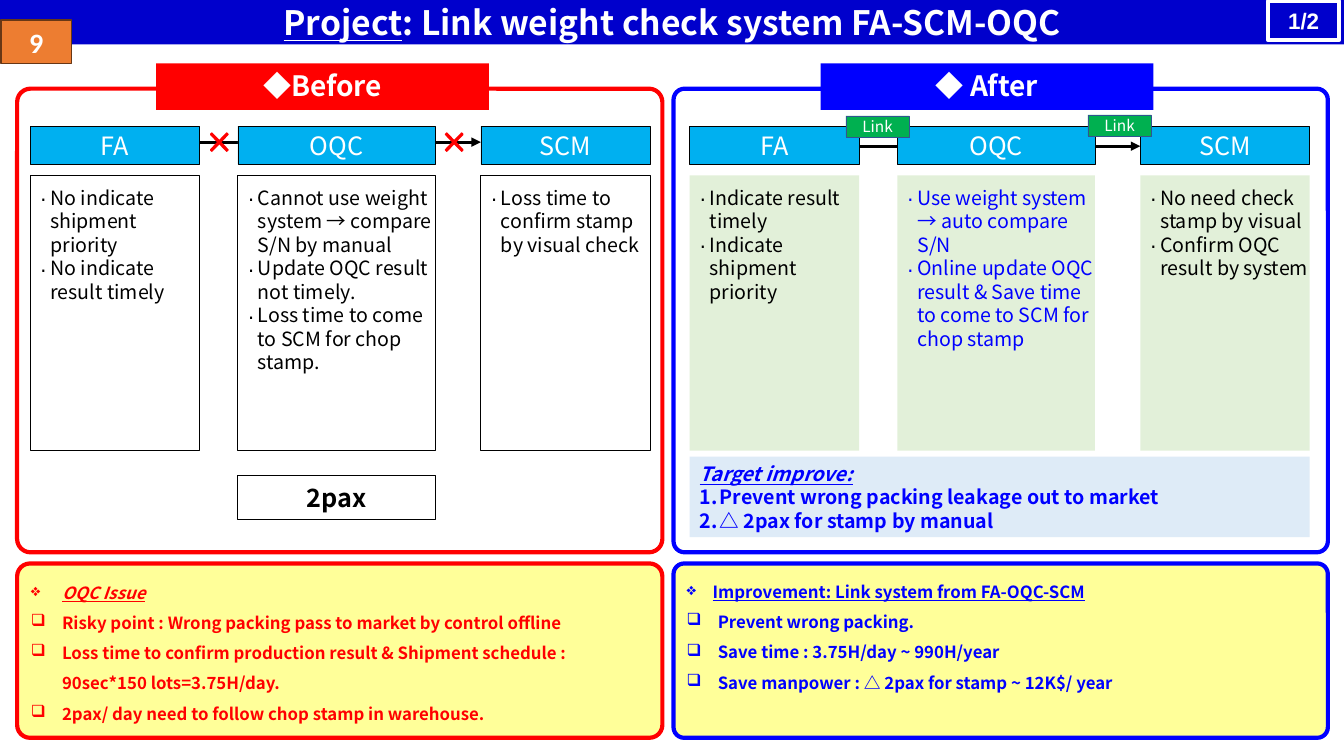
"""Build the before/after slide of the weight check link project."""
from lxml import etree
from pptx import Presentation
from pptx.dml.color import RGBColor
from pptx.enum.shapes import MSO_CONNECTOR, MSO_SHAPE
from pptx.enum.text import MSO_ANCHOR, PP_ALIGN
from pptx.oxml.ns import qn
from pptx.util import Pt

PX = 9144
RECT, ROUNDED, CROSS = MSO_SHAPE.RECTANGLE, MSO_SHAPE.ROUNDED_RECTANGLE, MSO_SHAPE.MATH_MULTIPLY
STRAIGHT = MSO_CONNECTOR.STRAIGHT
TOP, MIDDLE = MSO_ANCHOR.TOP, MSO_ANCHOR.MIDDLE
LEFT, CENTER = PP_ALIGN.LEFT, PP_ALIGN.CENTER

BLACK = RGBColor(0, 0, 0)
WHITE = RGBColor(255, 255, 255)
RED = RGBColor(255, 0, 0)
BLUE = RGBColor(0, 0, 255)
NAVY = RGBColor(0, 0, 0xCC)
SKY = RGBColor(0, 0xB0, 0xF0)
GREEN = RGBColor(0, 0xB0, 0x50)
LINK_EDGE = RGBColor(0x32, 0x54, 0x91)
PALE_GREEN = RGBColor(0xE2, 0xF0, 0xD9)
PALE_BLUE = RGBColor(0xDE, 0xEB, 0xF7)
YELLOW = RGBColor(255, 255, 0x99)
ORANGE = RGBColor(0xED, 0x7D, 0x31)
BROWN = RGBColor(0x68, 0x37, 0x15)

FONT = "Noto Sans CJK JP"
HEADING = {"italic": True, "underline": True}
UNDERLINED = {"underline": True}
STAGES = (("FA", 30, 168), ("OQC", 236, 196), ("SCM", 477, 168))
AFTER_SHIFT = 654

BEFORE_NOTES = (
    ("No indicate shipment priority", "No indicate result timely"),
    ("Cannot use weight system → compare S/N by manual",
     "Update OQC result not timely.",
     "Loss time to come to SCM for chop stamp."),
    ("Loss time to confirm stamp by visual check",),
)
AFTER_NOTES = (
    ("Indicate result timely", "Indicate shipment priority"),
    ("Use weight system → auto compare S/N",
     "Online update OQC result & Save time to come to SCM for chop stamp"),
    ("No need check stamp by visual", "Confirm OQC result by system"),
)
ISSUES = (
    "Risky point : Wrong packing pass to market by control offline",
    "Loss time to confirm production result & Shipment schedule : 90sec*150 lots=3.75H/day.",
    "2pax/ day need to follow chop stamp in warehouse.",
)
IMPROVEMENTS = (
    "Prevent wrong packing.",
    "Save time : 3.75H/day ~ 990H/year",
    "Save manpower : △ 2pax for stamp ~ 12K$/ year",
)
TARGETS = ("Prevent wrong packing leakage out to market", "△ 2pax for stamp by manual")


def add_box(slide, area, fill=None, line=None, width=0.5, kind=RECT, adjust=None):
    """Add a preset shape with its fill, outline and corner setting."""
    box = slide.shapes.add_shape(kind, *(length * PX for length in area))
    box.shadow.inherit = False
    if fill is None:
        box.fill.background()
    else:
        box.fill.solid()
        box.fill.fore_color.rgb = fill
    if line is None:
        box.line.fill.background()
    else:
        box.line.color.rgb = line
        box.line.width = Pt(width)
    if adjust is not None:
        box.adjustments[0] = adjust
    return box


def set_bullet(paragraph, bullet, indent):
    """Give a paragraph a hanging bullet, or automatic numbers for '1.'."""
    properties = paragraph._p.get_or_add_pPr()
    properties.set("marL", str(indent * PX))
    properties.set("indent", str(-indent * PX))
    if bullet == "1.":
        etree.SubElement(properties, qn("a:buAutoNum"), type="arabicPeriod")
    else:
        etree.SubElement(properties, qn("a:buChar"), char=bullet)


def write(box, paragraphs, size, color, bold=False, font=FONT, align=LEFT,
          anchor=TOP, insets=(10, 5, 10, 5), spacing=None):
    """Write paragraphs given as (runs, bullet, indent), runs as (text, format)."""
    frame = box.text_frame
    left, top, right, bottom = (inset * PX for inset in insets)
    frame_format = {"word_wrap": True, "vertical_anchor": anchor, "margin_left": left,
                    "margin_top": top, "margin_right": right, "margin_bottom": bottom}
    for name, value in frame_format.items():
        setattr(frame, name, value)
    for index, (runs, bullet, indent) in enumerate(paragraphs):
        paragraph = frame.add_paragraph() if index else frame.paragraphs[0]
        paragraph.alignment = align
        if spacing:
            paragraph.line_spacing = spacing
        if bullet:
            set_bullet(paragraph, bullet, indent)
        for text, emphasis in runs:
            run = paragraph.add_run()
            run.text = text
            font_format = {"name": font, "size": Pt(size), "bold": bold, **emphasis}
            for name, value in font_format.items():
                setattr(run.font, name, value)
            run.font.color.rgb = color
            etree.SubElement(run.font._element, qn("a:ea"), typeface=font)


def bulleted(texts, bullet, indent):
    """Turn plain texts into bulleted paragraphs."""
    return [([(text, {})], bullet, indent) for text in texts]


def add_label(slide, area, text, size, color=WHITE, bold=True, font=FONT,
              anchor=MIDDLE, insets=(10, 5, 10, 5), **look):
    """Add a box with one centred line of text."""
    label = add_box(slide, area, **look)
    write(label, [([(text, {})], None, 0)], size, color, bold, font, CENTER, anchor, insets)


def add_flow_arrow(slide, start, end, y):
    """Add the horizontal arrow that runs behind the stages."""
    arrow = slide.shapes.add_connector(STRAIGHT, start * PX, y * PX, end * PX, y * PX)
    arrow.line.color.rgb = BLACK
    arrow.line.width = Pt(2.25)
    etree.SubElement(arrow.line._get_or_add_ln(), qn("a:tailEnd"), type="triangle")
    etree.SubElement(arrow._element.spPr, qn("a:effectLst"))


def add_panel(slide, left, width, color, title, banner_left, adjust):
    """Add an outlined panel with its title banner."""
    add_box(slide, (left, 88, width, 460), line=color, width=3, kind=ROUNDED, adjust=adjust)
    add_label(slide, (banner_left, 63, 330, 46), title, 20, anchor=TOP, fill=color)


def add_stages(slide, shift, arrow_y, notes, colors, **look):
    """Add the three stages with the notes under each."""
    add_flow_arrow(slide, 197 + shift, 477 + shift, arrow_y)
    for (stage, left, width), texts, color in zip(STAGES, notes, colors):
        left += shift
        add_label(slide, (left, 125, width, 38), stage, 18, bold=False, fill=SKY, line=BLACK)
        note = add_box(slide, (left, 174, width, 273), **look)
        write(note, bulleted(texts, "․", 10), 14, color, insets=(10, 10, 0, 0))


def add_summary(slide, left, width, color, adjust, heading, items):
    """Add a yellow summary with a heading and its points."""
    summary = add_box(slide, (left, 559, width, 173), YELLOW, color, 3, ROUNDED, adjust)
    write(summary, [heading, *bulleted(items, "❑", 31)], 12, color, bold=True, spacing=1.5)


def add_header(slide):
    """Add the title bar, page mark and project number."""
    title = add_box(slide, (0, 0, 1333, 44), NAVY)
    runs = [("Project", UNDERLINED), (": Link weight check system FA-SCM-OQC", {})]
    write(title, [(runs, None, 0)], 24, WHITE, True, align=CENTER, anchor=MIDDLE)
    add_label(slide, (1258, 1, 70, 39), "1/2", 16, font="Arial", line=WHITE, width=3)
    add_label(slide, (1, 20, 70, 43), "9", 20, font="Calibri", fill=ORANGE, line=BROWN, width=1)


def main():
    """Build and save the slide."""
    deck = Presentation()
    deck.slide_width, deck.slide_height = 1333 * PX, 750 * PX
    slide = deck.slides.add_slide(deck.slide_layouts[6])

    add_panel(slide, 668, 649, BLUE, "◆ After", 814, 0.024)
    add_panel(slide, 17, 640, RED, "◆Before", 155, 0.029)
    add_summary(slide, 17, 640, RED, 0.074, ([("OQC Issue", HEADING)], "❖", 31), ISSUES)
    add_summary(slide, 668, 649, BLUE, 0.061,
                ([("Improvement: Link system from FA-OQC-SCM", UNDERLINED)], "❖", 26),
                IMPROVEMENTS)

    add_stages(slide, 0, 141, BEFORE_NOTES, (BLACK,) * 3, line=BLACK, width=0.75)
    for left in (202, 435):
        add_box(slide, (left, 125, 31, 32), RED, RED, 1, CROSS, 0.06)
    add_label(slide, (236, 472, 196, 43), "2pax", 18, BLACK, line=BLACK, width=0.75)

    add_stages(slide, AFTER_SHIFT, 145, AFTER_NOTES, (BLACK, BLUE, BLACK), fill=PALE_GREEN)
    for left, top in ((1079, 114), (839, 115)):
        add_label(slide, (left, top, 63, 21), "Link", 11, bold=False, insets=(0, 0, 0, 0),
                  fill=GREEN, line=LINK_EDGE, width=0.25)
    target = add_box(slide, (684, 453, 615, 80), PALE_BLUE)
    write(target, [([("Target improve:", HEADING)], None, 0), *bulleted(TARGETS, "1.", 20)],
          14, BLUE, bold=True, anchor=MIDDLE)

    add_header(slide)
    deck.save("out.pptx")


if __name__ == "__main__":
    main()
